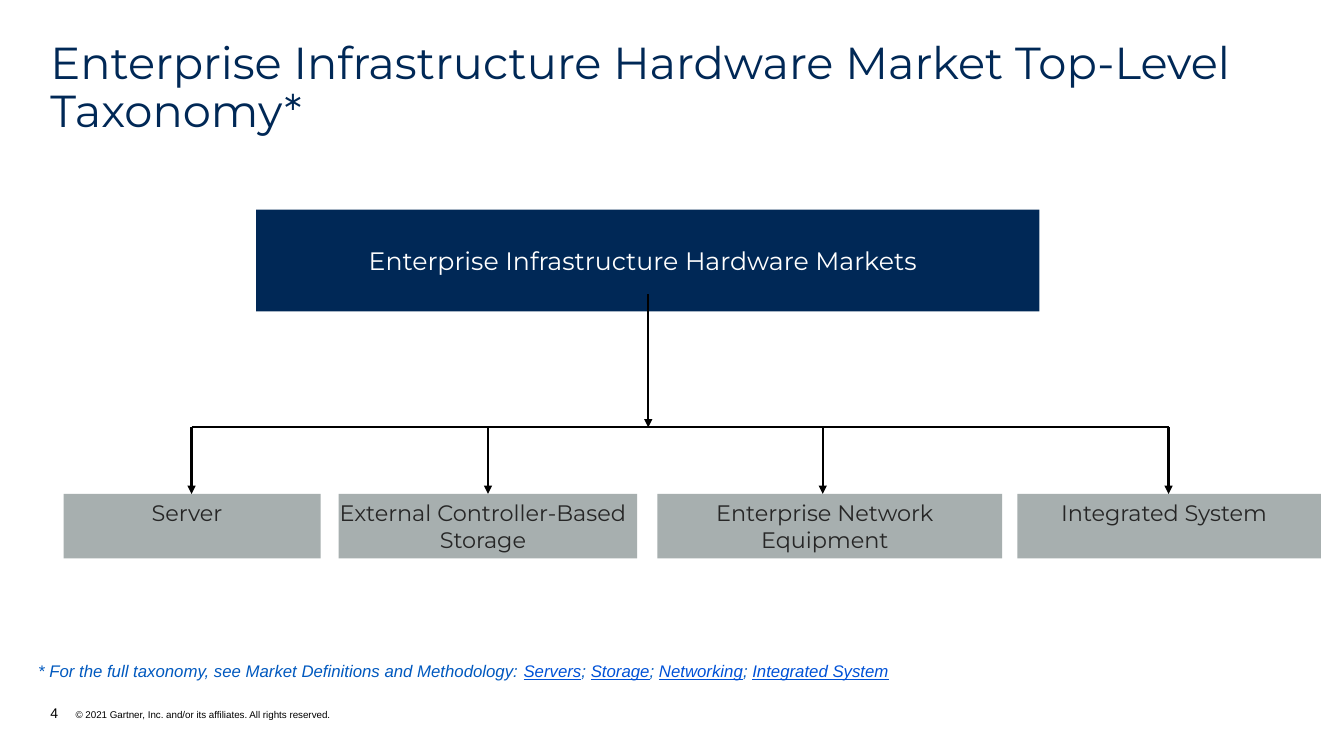
"""Build the enterprise infrastructure hardware taxonomy slide."""
import dataclasses
import typing

import lxml.etree
import pptx
import pptx.dml.color
import pptx.enum.shapes
import pptx.enum.text
import pptx.oxml.ns
import pptx.util

PX = 9144
NAVY = pptx.dml.color.RGBColor(0x00, 0x28, 0x56)
GREY = pptx.dml.color.RGBColor(0xA7, 0xAF, 0xAF)
CHARCOAL = pptx.dml.color.RGBColor(0x26, 0x26, 0x26)
BLACK = pptx.dml.color.RGBColor(0x00, 0x00, 0x00)
WHITE = pptx.dml.color.RGBColor(0xFF, 0xFF, 0xFF)
NOTE_BLUE = pptx.dml.color.RGBColor(0x00, 0x59, 0xBF)
LINK_BLUE = pptx.dml.color.RGBColor(0x00, 0x52, 0xD7)
HEADING_FONT = "Montserrat"
BODY_FONT = "Arial"
ALIGN = pptx.enum.text.PP_ALIGN
ANCHOR = pptx.enum.text.MSO_ANCHOR

BUS_Y = 424
MARKET_TOP = 490
MARKET_HEIGHT = 64


@dataclasses.dataclass(frozen=True)
class Box:
    text: str
    left: int
    top: int
    width: int
    height: int
    fill: pptx.dml.color.RGBColor
    color: pptx.dml.color.RGBColor
    size: int
    anchor: ANCHOR


@dataclasses.dataclass(frozen=True)
class Market:
    name: str
    left: int
    width: int
    arrow_x: int
    arrow_weight: float = 1.5


MARKETS = (
    Market("Server", 63, 255, 190, 1.75),
    Market("External Controller-Based Storage", 336, 296, 484),
    Market("Enterprise Network Equipment", 652, 342, 816),
    Market("Integrated System", 1009, 301, 1159),
)
ROOT = Box("Enterprise Infrastructure Hardware Markets", 254, 208, 777, 101,
           NAVY, WHITE, 18, ANCHOR.MIDDLE)
LINKS = ("Servers", "Storage", "Networking", "Integrated System")


def px(*lengths: int) -> list[pptx.util.Emu]:
    """Turn px lengths into EMU."""
    return [pptx.util.Emu(length * PX) for length in lengths]


def set_frame(frame: typing.Any, insets: tuple[int, int, int, int], anchor: ANCHOR) -> None:
    """Set wrapping, anchor and left, top, right, bottom insets."""
    frame.word_wrap = True
    frame.vertical_anchor = anchor
    (frame.margin_left, frame.margin_top,
     frame.margin_right, frame.margin_bottom) = px(*insets)


def style_run(run: typing.Any, font: str, size: int,
              color: pptx.dml.color.RGBColor) -> None:
    """Give a run its font, size and colour."""
    run.font.name = font
    run.font.size = pptx.util.Pt(size)
    run.font.color.rgb = color


def draw_title(slide: typing.Any) -> None:
    """Fill and place the title placeholder."""
    title = slide.shapes.title
    title.left, title.top, title.width, title.height = px(50, 40, 1233, 48)
    frame = title.text_frame
    frame.text = "Enterprise Infrastructure Hardware Market Top-Level Taxonomy*"
    frame.auto_size = pptx.enum.text.MSO_AUTO_SIZE.NONE
    set_frame(frame, (0, 0, 0, 0), ANCHOR.TOP)
    heading = frame.paragraphs[0]
    heading.alignment = ALIGN.LEFT
    heading.line_spacing = 0.9
    heading.space_before = pptx.util.Pt(0)
    style_run(heading.runs[0], HEADING_FONT, 32, NAVY)


def draw_box(slide: typing.Any, box: Box) -> None:
    """Draw a filled rectangle with centred text."""
    panel = slide.shapes.add_shape(
        pptx.enum.shapes.MSO_SHAPE.RECTANGLE,
        *px(box.left, box.top, box.width, box.height))
    panel.shadow.inherit = False
    panel.fill.solid()
    panel.fill.fore_color.rgb = box.fill
    panel.line.fill.background()
    frame = panel.text_frame
    frame.text = box.text
    set_frame(frame, (0, 5, 10, 5), box.anchor)
    frame.paragraphs[0].alignment = ALIGN.CENTER
    style_run(frame.paragraphs[0].runs[0], HEADING_FONT, box.size, box.color)


def draw_line(slide: typing.Any, start: tuple[int, int], end: tuple[int, int],
              weight: float = 1.5, arrow: bool = True) -> None:
    """Draw a straight black connector, with an arrowhead if wanted."""
    link = slide.shapes.add_connector(
        pptx.enum.shapes.MSO_CONNECTOR.STRAIGHT, *px(*start, *end))
    link.line.color.rgb = BLACK
    link.line.width = pptx.util.Pt(weight)
    if arrow:
        outline = link.line._get_or_add_ln()
        lxml.etree.SubElement(outline, pptx.oxml.ns.qn("a:tailEnd"), type="triangle")
    lxml.etree.SubElement(link._element.spPr, pptx.oxml.ns.qn("a:effectLst"))


def draw_taxonomy(slide: typing.Any) -> None:
    """Draw the root box, the market boxes and the lines between them."""
    draw_box(slide, ROOT)
    for market in MARKETS:
        draw_box(slide, Box(market.name, market.left, MARKET_TOP, market.width,
                            MARKET_HEIGHT, GREY, CHARCOAL, 16, ANCHOR.TOP))
    draw_line(slide, (MARKETS[0].arrow_x, BUS_Y), (MARKETS[-1].arrow_x, BUS_Y),
              arrow=False)
    draw_line(slide, (643, 292), (643, BUS_Y))
    for market in MARKETS:
        draw_line(slide, (market.arrow_x, BUS_Y), (market.arrow_x, MARKET_TOP),
                  market.arrow_weight)


def draw_note(slide: typing.Any) -> None:
    """Write the footnote with its underlined sources."""
    note = slide.shapes.add_textbox(*px(28, 651, 1019, 30))
    set_frame(note.text_frame, (10, 5, 10, 5), ANCHOR.TOP)
    sentence = note.text_frame.paragraphs[0]
    lead = "* For the full taxonomy, see Market Definitions and Methodology: "
    for source in LINKS:
        for text, color, underline in ((lead, NOTE_BLUE, False),
                                       (source, LINK_BLUE, True)):
            run = sentence.add_run()
            run.text = text
            style_run(run, BODY_FONT, 12, color)
            run.font.italic = True
            run.font.underline = underline
        lead = "; "


def draw_footer(slide: typing.Any) -> None:
    """Write the page number and the copyright line."""
    footer = slide.shapes.add_textbox(*px(50, 699, 799, 17))
    set_frame(footer.text_frame, (0, 0, 0, 0), ANCHOR.BOTTOM)
    line = footer.text_frame.paragraphs[0]
    indent = 25 * PX
    properties = line._p.get_or_add_pPr()
    properties.set("marL", str(indent))
    properties.set("indent", str(-indent))
    tabs = lxml.etree.SubElement(properties, pptx.oxml.ns.qn("a:tabLst"))
    lxml.etree.SubElement(tabs, pptx.oxml.ns.qn("a:tab"), pos=str(indent), algn="l")
    for text, size in (
            ("4", 10),
            ("\t© 2021 Gartner, Inc. and/or its affiliates. All rights reserved.", 7)):
        run = line.add_run()
        run.text = text
        style_run(run, BODY_FONT, size, BLACK)


def main() -> None:
    """Build and save the slide."""
    deck = pptx.Presentation()
    deck.slide_width, deck.slide_height = px(1333, 750)
    slide = deck.slides.add_slide(deck.slide_layouts[5])
    draw_footer(slide)
    draw_title(slide)
    draw_note(slide)
    draw_taxonomy(slide)
    deck.save("out.pptx")


if __name__ == "__main__":
    main()
